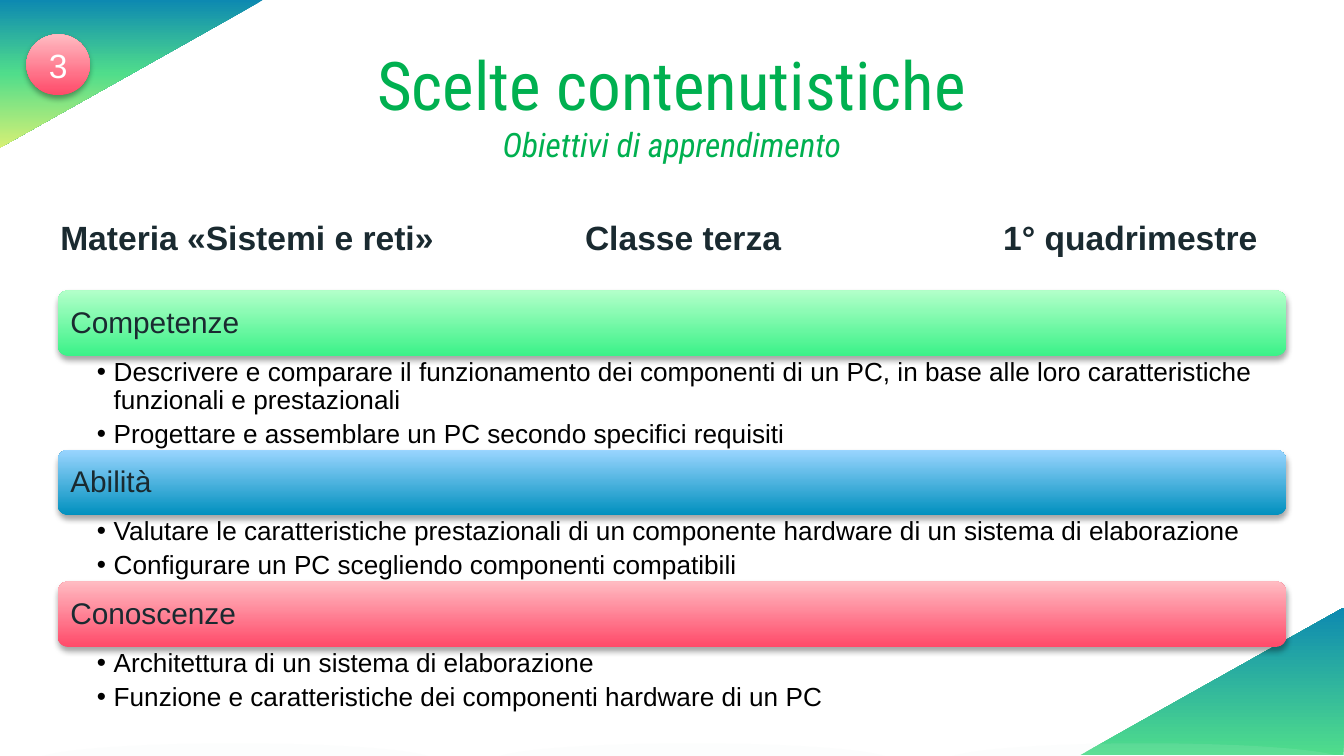
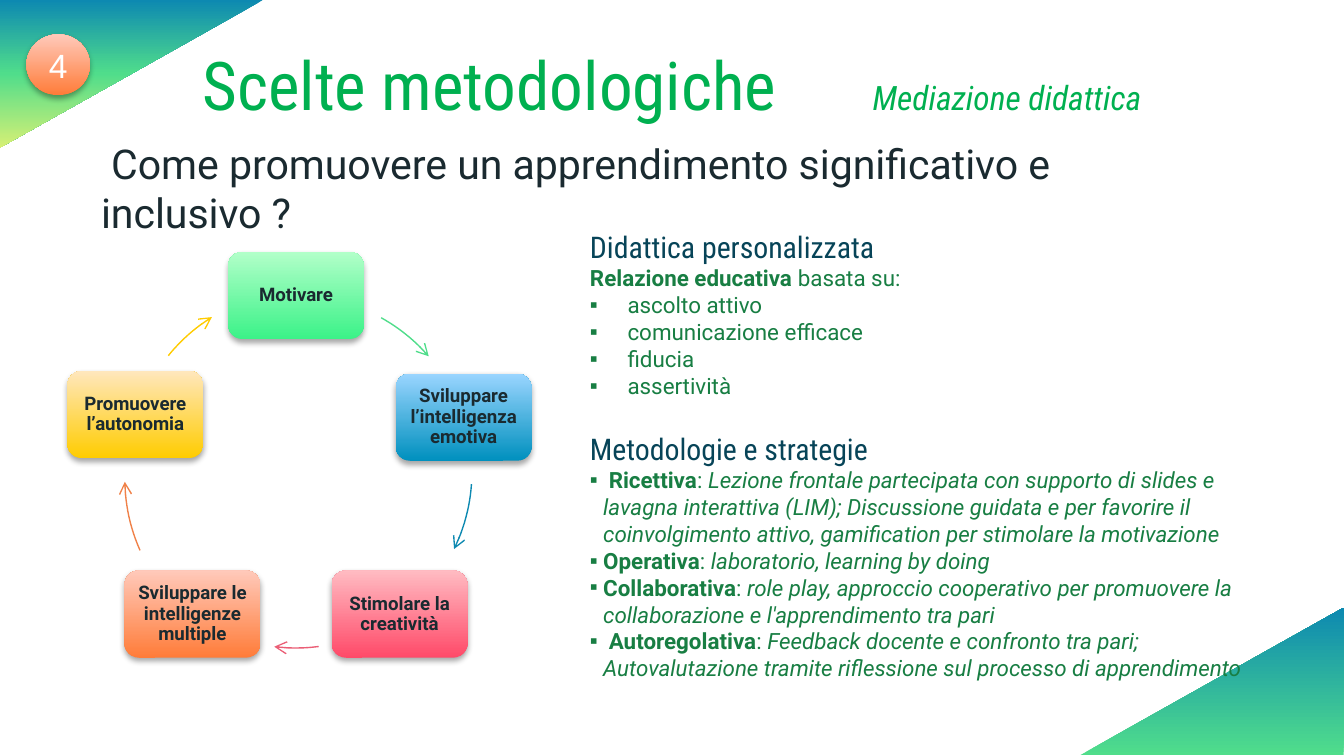
import math
from lxml import etree
from pptx import Presentation
from pptx import util as u
from pptx.dml.color import RGBColor
from pptx.enum import shapes, text
from pptx.oxml import ns

Cm, Pt = u.Cm, u.Pt
KIND = shapes.MSO_SHAPE
LEFT, MID = text.PP_ALIGN.LEFT, text.PP_ALIGN.CENTER

INK = RGBColor(0x1A, 0x2A, 0x30)
BLACK = RGBColor(0, 0, 0)
WHITE = RGBColor(255, 255, 255)
TITLE = RGBColor(0x00, 0xB0, 0x50)
HEAD = RGBColor(0x07, 0x44, 0x58)
LEAF = RGBColor(0x18, 0x7E, 0x43)
MIST = RGBColor(0xE9, 0xF0, 0xEF)
SEA = RGBColor(0x0D, 0x89, 0xB1)
MINT = RGBColor(0x50, 0xDD, 0x8B)
LIME = RGBColor(0xD6, 0xF0, 0x75)
ROSE = RGBColor(0xEB, 0x5E, 0x76)
RUST = RGBColor(0xF0, 0x81, 0x48)
GOLD = RGBColor(0xFF, 0xCC, 0x00)
GREENS = RGBColor(0x3B, 0xF2, 0x88), RGBColor(0xB2, 0xFF, 0xC9)
BLUES = RGBColor(0x00, 0x90, 0xBE), RGBColor(0x9A, 0xD5, 0xFF)
REDS = RGBColor(0xFF, 0x4A, 0x69), RGBColor(0xFF, 0xBB, 0xC2)
CORALS = RGBColor(0xFF, 0x7C, 0x39), RGBColor(0xFF, 0xC9, 0xBA)
GOLDS = GOLD, RGBColor(0xFF, 0xE7, 0xBD)
SANS, BODY, SLIM = "Arial", "Roboto", "Roboto Condensed"
HUB, REACH = (5.59, 8.92), 3.33

BANDS = [
    (5.49, 1.76, GREENS, "Competenze", [
        "Descrivere e comparare il funzionamento dei componenti di un PC, "
        "in base alle loro caratteristiche funzionali e prestazionali",
        "Progettare e assemblare un PC secondo specifici requisiti"]),
    (8.5, 1.24, BLUES, "Abilità", [
        "Valutare le caratteristiche prestazionali di un componente hardware "
        "di un sistema di elaborazione",
        "Configurare un PC scegliendo componenti compatibili"]),
    (10.99, 1.24, REDS, "Conoscenze", [
        "Architettura di un sistema di elaborazione",
        "Funzione e caratteristiche dei componenti hardware di un PC"]),
]
STEPS = [
    ("Motivare", GREENS, (0, 0)),
    ("Sviluppare l’intelligenza emotiva", BLUES, (0, 0)),
    ("Stimolare la creatività", REDS, (0, 0)),
    ("Sviluppare le intelligenze multiple", CORALS, (0, 0)),
    ("Promuovere l’autonomia", GOLDS, (0.13, -0.05)),
]
ARCS = [
    (-61, -41, MINT, (0, 0)),
    (4, 26, SEA, (0, 0)),
    (82.5, 97, ROSE, (0, 0)),
    (156, 179, RUST, (0.1, 0.13)),
    (219, 238, GOLD, (0.18, -0.1)),
]
TRAITS = ["ascolto attivo", "comunicazione efficace", "fiducia", "assertività"]
WAYS = [
    (" ", "Ricettiva", "Lezione frontale partecipata con supporto di slides e "
     "lavagna interattiva (LIM); Discussione guidata e per favorire il "
     "coinvolgimento attivo, gamification per stimolare la motivazione"),
    ("", "Operativa", "laboratorio, learning by doing"),
    ("", "Collaborativa", "role play, approccio cooperativo per promuovere la "
     "collaborazione e l'apprendimento tra pari"),
    (" ", "Autoregolativa", "Feedback docente e confronto tra pari; "
     "Autovalutazione tramite riflessione sul processo di apprendimento"),
]


def tag(node, name, **attrs):
    """Add a drawing element to a node."""
    return etree.SubElement(node, ns.qn("a:" + name),
                            {k: str(v) for k, v in attrs.items()})


def blend(shape, stops, angle=270):
    """Fill a shape with evenly spaced gradient stops."""
    props = shape._element.spPr
    fill = tag(props, "gradFill", rotWithShape=1)
    row = tag(fill, "gsLst")
    for i, color in enumerate(stops):
        stop = tag(row, "gs", pos=100000 * i // (len(stops) - 1))
        tag(stop, "srgbClr", val=color)
    tag(fill, "lin", ang=angle * 60000, scaled=0)
    props.insert(2, fill)


def plain(slide, kind, box):
    """Add a shape without line or shadow."""
    shape = slide.shapes.add_shape(kind, *map(Cm, box))
    shape.line.fill.background()
    shape.shadow.inherit = False
    return shape


def raised(slide, kind, box, stops):
    """Add a gradient shape with a soft shadow."""
    shape = plain(slide, kind, box)
    blend(shape, stops)
    glow = shape._element.spPr.find(ns.qn("a:effectLst"))
    shade = tag(glow, "outerShdw", blurRad=40000, dist=23000, dir=5400000,
                rotWithShape=0)
    tag(tag(shade, "srgbClr", val=BLACK), "alpha", val=35000)
    return shape


def setup(frame, pads=(0.25, 0.13, 0.25, 0.13), top=True):
    """Set wrapping, margins and anchor of a text frame."""
    frame.word_wrap = True
    frame.auto_size = text.MSO_AUTO_SIZE.NONE
    frame.vertical_anchor = (text.MSO_ANCHOR.TOP if top
                             else text.MSO_ANCHOR.MIDDLE)
    (frame.margin_left, frame.margin_top,
     frame.margin_right, frame.margin_bottom) = map(Cm, pads)
    return frame


def place(shape, box):
    """Move a placeholder."""
    shape.left, shape.top, shape.width, shape.height = map(Cm, box)
    return shape.text_frame


def para(frame, align=LEFT, mark=None, hang=0, line=1, before=0, after=0):
    """Start a paragraph, with a bullet if given."""
    item = frame.add_paragraph() if frame.text else frame.paragraphs[0]
    props = item._p.get_or_add_pPr()
    props.set("marL", str(Cm(hang)))
    props.set("indent", str(-Cm(hang)))
    if mark:
        tag(props, "buFont", typeface=SANS)
        tag(props, "buChar", char=mark)
    else:
        tag(props, "buNone")
    item.alignment = align
    item.line_spacing = line
    item.space_before, item.space_after = Pt(before), Pt(after)
    return item


def run(item, words, size, face, color, bold=False, slant=False, gap=0):
    """Add one formatted run, its letters spread by a gap in points."""
    part = item.add_run()
    part.text = words
    font = part.font
    font.size, font.name, font.bold, font.italic = Pt(size), face, bold, slant
    font.color.rgb = color
    if gap:
        part._r.get_or_add_rPr().set("spc", str(gap * 100))


def corners(slide):
    """Put the two corner triangles on the layout."""
    for box, turn, stops in (((1.09, -1.09, 2.79, 4.97), 90, (SEA, MINT, LIME)),
                             ((21.51, 10.39, 2.79, 4.98), 270, (MINT, SEA))):
        shape = plain(slide, KIND.RIGHT_TRIANGLE, box)
        shape.rotation = turn
        blend(shape, stops, 0)
        slide.slide_layout.shapes._spTree.insert(2, shape._element)


def badge(slide, label, stops):
    """Add the round slide number."""
    shape = raised(slide, KIND.OVAL, (0.5, 0.65, 1.2, 1.15), stops)
    frame = setup(shape.text_frame, (0, 0, 0, 0), False)
    run(para(frame, MID), label, 18, SANS, WHITE)


def heading(slide, main, sub, gap=0):
    """Write the title, with its subtitle below or after a gap."""
    frame = place(slide.shapes.title, (3.1, 0.69, 19.2, 1.8 if gap else 2.57))
    item = para(setup(frame), MID)
    run(item, main, 36, SLIM, TITLE)
    if gap:
        run(item, " ", 36, SLIM, TITLE, gap=gap)
    else:
        item = para(frame, MID)
    run(item, sub, 18, SLIM, TITLE, slant=True)


def band(slide, top, high, stops, label, points):
    """Add a coloured band and the list below it."""
    shape = raised(slide, KIND.ROUNDED_RECTANGLE, (1.09, top, 23.22, 1.24),
                   stops)
    frame = setup(shape.text_frame, (0.18, 0.12, 0.18, 0.1), False)
    run(para(frame, line=0.9), label, 16, SANS, INK)
    box = slide.shapes.add_textbox(*map(Cm, (1.09, top + 1.24, 23.22, high)))
    frame = setup(box.text_frame, (0.74, 0.05, 0.28, 0.05))
    for point in points:
        item = para(frame, mark="•", hang=0.32, line=0.9, after=3)
        run(item, point, 14, SANS, BLACK)


def spot(angle, shift):
    """Find a point on the cycle, in centimetres."""
    turn = math.radians(angle)
    return (HUB[0] + shift[0] + REACH * math.cos(turn),
            HUB[1] + shift[1] + REACH * math.sin(turn))


def step(slide, angle, label, stops, shift):
    """Add one box of the cycle."""
    x, y = spot(angle, shift)
    shape = raised(slide, KIND.ROUNDED_RECTANGLE,
                   (x - 1.28, y - 0.83, 2.57, 1.65), stops)
    frame = setup(shape.text_frame, (0.11, 0.1, 0.11, 0.1), False)
    run(para(frame, MID, line=0.9), label, 10, BODY, INK, bold=True)


def arc(slide, start, end, color, shift):
    """Add a curved arrow, framed by the whole cycle."""
    dots = [tuple(map(Cm, spot(start + (end - start) * i / 12, shift)))
            for i in range(13)]
    pen = slide.shapes.build_freeform(*dots[0])
    pen.add_line_segments(dots[1:], close=False)
    shape = pen.convert_to_shape()
    left, top = [Cm(c + s - REACH) for c, s in zip(HUB, shift)]
    for dot in shape._element.iter(ns.qn("a:pt")):
        dot.set("x", str(int(dot.get("x")) + shape.left - left))
        dot.set("y", str(int(dot.get("y")) + shape.top - top))
    side = Cm(2 * REACH)
    shape.left, shape.top, shape.width, shape.height = left, top, side, side
    for track in shape._element.iter(ns.qn("a:path")):
        track.set("w", str(side))
        track.set("h", str(side))
    shape.fill.background()
    shape.shadow.inherit = False
    shape.line.color.rgb = color
    shape.line.width = Pt(0.75)
    tag(shape.line._get_or_add_ln(), "tailEnd", type="arrow")


def content(slide):
    """Build the slide on learning goals."""
    for x in (0.69, 9.32, 17.88):
        shape = plain(slide, KIND.OVAL, (x, 14.05, 7.52, 0.64))
        shape.fill.solid()
        shape.fill.fore_color.rgb = MIST
        shade = shape._element.spPr.find(ns.qn("a:solidFill"))[0]
        tag(shade, "alpha", val=10000)
    heading(slide, "Scelte contenutistiche", "Obiettivi di apprendimento")
    frame = setup(place(slide.placeholders[1], (0.89, 4.06, 23.98, 0.94)))
    item = para(frame, line=0.9)
    for words, gap in (("Materia «Sistemi e reti»", 76), ("Classe terza", 114),
                       ("1° quadrimestre", 0)):
        run(item, words, 18, SANS, INK, bold=True)
        if gap:
            run(item, " ", 18, SANS, INK, bold=True, gap=gap)
    for item in BANDS:
        band(slide, *item)
    badge(slide, "3", REDS)


def method(slide):
    """Build the slide on teaching methods."""
    heading(slide, "Scelte metodologiche", "Mediazione didattica", 43)
    frame = setup(place(slide.placeholders[1], (10.9, 4.19, 13.21, 8.89)))
    run(para(frame), "Didattica personalizzata", 16, SLIM, HEAD)
    item = para(frame)
    run(item, "Relazione educativa ", 12, BODY, LEAF, bold=True)
    run(item, "basata su:", 12, BODY, LEAF)
    for trait in TRAITS:
        run(para(frame, mark="▪", hang=0.71), trait, 12, BODY, LEAF)
    run(para(frame, before=17), "Metodologie e strategie", 16, SLIM, HEAD)
    for lead, name, words in WAYS:
        item = para(frame, mark="▪", hang=0.25)
        run(item, lead + name, 12, BODY, LEAF, bold=True)
        run(item, ": ", 12, BODY, LEAF)
        run(item, words, 12, BODY, LEAF, slant=True)
    box = slide.shapes.add_textbox(*map(Cm, (1.66, 2.48, 22.07, 1.19)))
    run(para(setup(box.text_frame)), " Come promuovere un apprendimento "
        "significativo e inclusivo ?", 22, BODY, INK)
    for i, item in enumerate(STEPS):
        step(slide, 72 * i - 90, *item)
    for item in ARCS:
        arc(slide, *item)
    badge(slide, "4", CORALS)


def main():
    """Build and save the slides."""
    deck = Presentation()
    deck.slide_width, deck.slide_height = Cm(25.4), Cm(14.29)
    layout = deck.slide_layouts[1]
    first, second = [deck.slides.add_slide(layout) for _ in range(2)]
    corners(first)
    content(first)
    method(second)
    deck.save("out.pptx")


if __name__ == "__main__":
    main()
